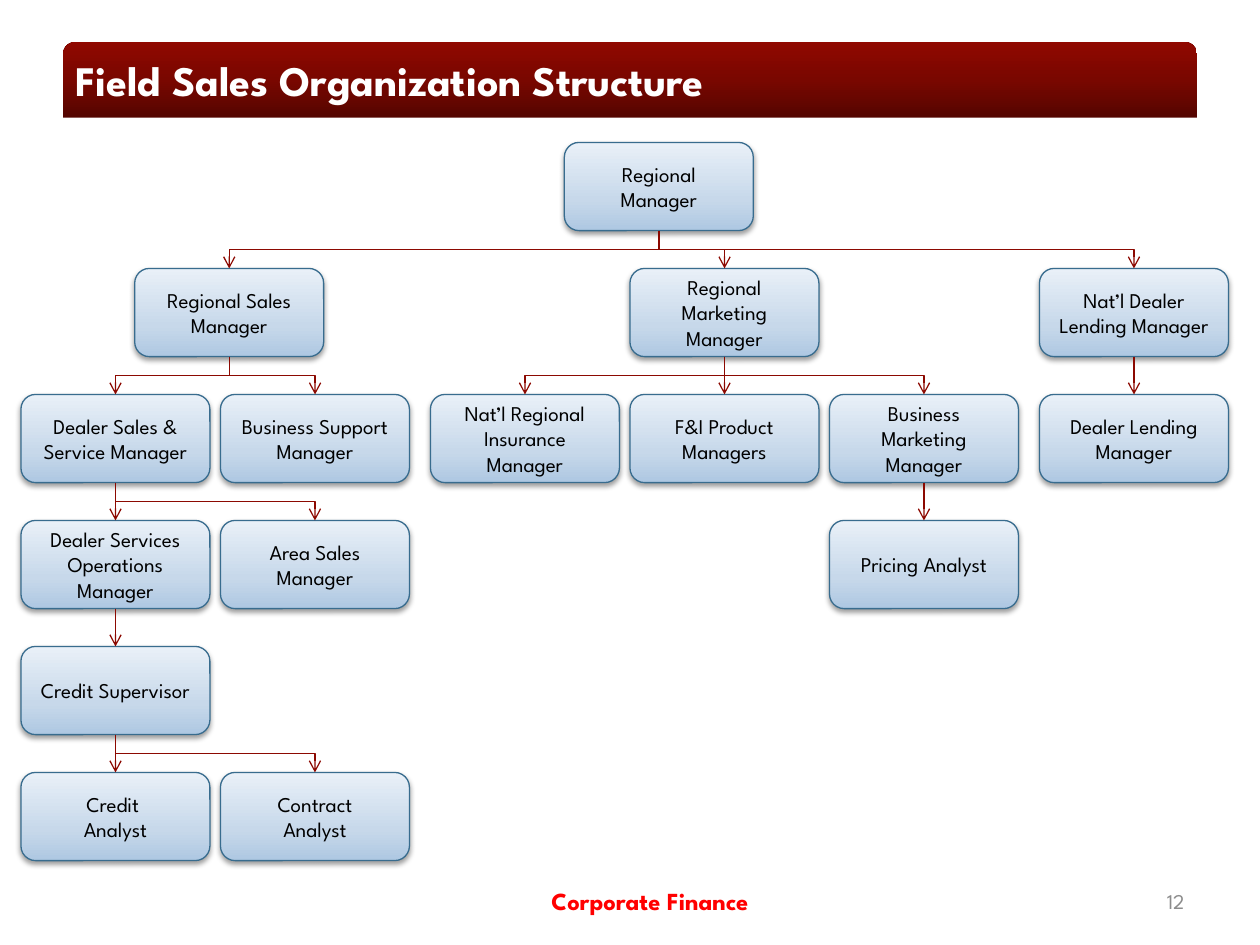
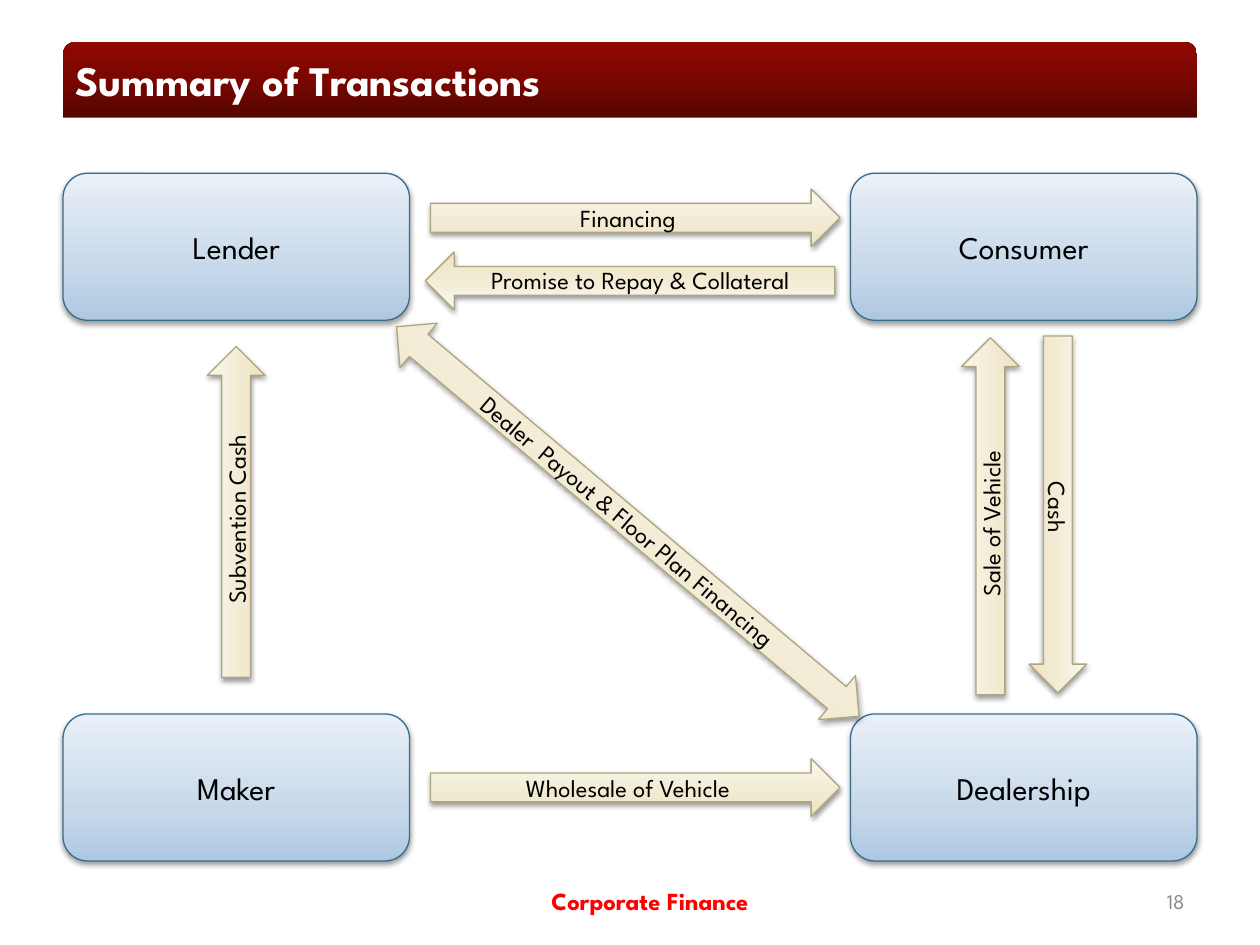
from pptx import Presentation
from pptx.dml.color import RGBColor
from pptx.enum.shapes import MSO_CONNECTOR, MSO_SHAPE
from pptx.enum.text import MSO_ANCHOR, PP_ALIGN
from pptx.oxml import parse_xml
from pptx.oxml.ns import nsdecls, qn
from pptx.util import Pt

ROUNDED = MSO_SHAPE.ROUNDED_RECTANGLE
BAND = MSO_SHAPE.ROUND_2_SAME_RECTANGLE
ARROW = MSO_SHAPE.RIGHT_ARROW
TWO_WAY = MSO_SHAPE.LEFT_RIGHT_ARROW
STRAIGHT, ELBOW = MSO_CONNECTOR.STRAIGHT, MSO_CONNECTOR.ELBOW
LEFT, CENTER, RIGHT = PP_ALIGN.LEFT, PP_ALIGN.CENTER, PP_ALIGN.RIGHT
MIDDLE, TOP = MSO_ANCHOR.MIDDLE, MSO_ANCHOR.TOP

FONT = "League Spartan"
BLACK, WHITE, RED, GRAY = "000000", "FFFFFF", "FF0000", "8C8C8C"
CONNECTOR_COLOR = "8C0901"
# Gradients run from the bottom edge up: (position in percent, colour)
BAND_GRADIENT = [(0, "550500"), (50, "790700"), (100, "900800")]
BLUE_GRADIENT = [(0, "AEC8E2"), (35, "C7D8EA"), (100, "E9F0F8")]
CREAM_GRADIENT = [(0, "EDE2BD"), (35, "F1EAD1"), (100, "FAF7EC")]
BLUE_LINE, CREAM_LINE = "386C8E", "AFA57E"

FOOTER = "Corporate Finance"
TITLE_AREA = (36, 24, 648, 43.2)
FOOTER_AREA = (191.5, 500.4, 360, 28.8)
NUMBER_AREA = (516, 500.4, 168, 28.8)

# Organization chart: (position, left, level, reports to)
COLUMNS = [12, 126, 246, 360, 474, 594]
POSITIONS = [
    ("Regional Manager", 322.5, 0, None),
    ("Regional Sales Manager", 77, 1, "Regional Manager"),
    ("Regional Marketing Manager", COLUMNS[3], 1, "Regional Manager"),
    ("Nat’l Dealer Lending Manager", COLUMNS[5], 1, "Regional Manager"),
    ("Dealer Sales & Service Manager", COLUMNS[0], 2, "Regional Sales Manager"),
    ("Business Support Manager", COLUMNS[1], 2, "Regional Sales Manager"),
    ("Nat’l Regional Insurance Manager", COLUMNS[2], 2, "Regional Marketing Manager"),
    ("F&I Product Managers", COLUMNS[3], 2, "Regional Marketing Manager"),
    ("Business Marketing\nManager", COLUMNS[4], 2, "Regional Marketing Manager"),
    ("Dealer Lending Manager", COLUMNS[5], 2, "Nat’l Dealer Lending Manager"),
    ("Dealer Services Operations Manager", COLUMNS[0], 3, "Dealer Sales & Service Manager"),
    ("Area Sales Manager", COLUMNS[1], 3, "Dealer Sales & Service Manager"),
    ("Pricing Analyst", COLUMNS[4], 3, "Business Marketing\nManager"),
    ("Credit Supervisor", COLUMNS[0], 4, "Dealer Services Operations Manager"),
    ("Credit \nAnalyst", COLUMNS[0], 5, "Credit Supervisor"),
    ("Contract\nAnalyst", COLUMNS[1], 5, "Credit Supervisor"),
]
CHART_TOP, LEVEL_STEP = 81.4, 72
POSITION_WIDTH, POSITION_HEIGHT = 108, 50.4

# Transactions: (party, left, top) and (flow, kind, left, top, length, rotation)
PARTIES = [
    ("Lender", 36, 99),
    ("Consumer", 486, 99),
    ("Maker", 36, 408),
    ("Dealership", 486, 408),
]
PARTY_WIDTH, PARTY_HEIGHT = 198, 84
FLOWS = [
    ("Financing", ARROW, 246, 108, 234, 0),
    ("Subvention Cash", ARROW, 40.5, 276, 189, 270),
    ("Cash", ARROW, 502.5, 277.5, 204, 90),
    ("Sale of Vehicle", ARROW, 464, 278.5, 204, 270),
    ("Wholesale of Vehicle", ARROW, 246, 433.5, 234, 0),
    ("", ARROW, 243, 144, 234, 180),
    ("Dealer  Payout & Floor Plan Financing", TWO_WAY, 186, 281.5, 345.5, 40.1),
]
FLOW_THICKNESS = 33
REPAYMENT = "Promise to Repay & Collateral"
REPAYMENT_AREA = (240, 148, 252, 26)


def rgb(color):
    return RGBColor.from_string(color)


def points(area):
    return [Pt(value) for value in area]


def write(shape, text, size, color=BLACK, align=CENTER, bold=False, anchor=MIDDLE):
    frame = shape.text_frame
    frame.word_wrap = True
    frame.vertical_anchor = anchor
    frame.text = text
    for paragraph in frame.paragraphs:
        paragraph.alignment = align
        for run in paragraph.runs:
            run.font.name = FONT
            run.font.size = Pt(size)
            run.font.bold = bold
            run.font.color.rgb = rgb(color)


def add_label(slide, area, text, size, **style):
    write(slide.shapes.add_textbox(*points(area)), text, size, **style)


def add_gradient_shape(slide, kind, area, gradient, line=None):
    """Add a shape with a bottom-up gradient; an outlined one also casts a shadow."""
    shape = slide.shapes.add_shape(kind, *points(area))
    shape.fill.gradient()
    shape.fill.gradient_angle = 90
    properties = shape._element.spPr
    stops = properties.find(qn("a:gradFill")).find(qn("a:gsLst"))
    for stop in list(stops):
        stops.remove(stop)
    for position, color in gradient:
        stops.append(parse_xml(
            f'<a:gs {nsdecls("a")} pos="{position * 1000}"><a:srgbClr val="{color}"/></a:gs>'))
    shape.shadow.inherit = False
    if line is None:
        shape.line.fill.background()
        return shape
    shape.line.color.rgb = rgb(line)
    shape.line.width = Pt(0.75)
    properties.find(qn("a:effectLst")).append(parse_xml(
        f'<a:outerShdw {nsdecls("a")} blurRad="{Pt(3.1)}" dist="{Pt(1.6)}" dir="5400000" '
        'rotWithShape="0"><a:srgbClr val="000000"><a:alpha val="38000"/></a:srgbClr></a:outerShdw>'))
    return shape


def add_reporting_line(slide, start, end):
    """Draw an arrow down from start to end, with a bend halfway if they are not aligned."""
    (x1, y1), (x2, y2) = start, end
    run, drop = x2 - x1, y2 - y1
    if run == 0:
        connector = slide.shapes.add_connector(STRAIGHT, *points((x1, y1, x2, y2)))
    else:
        # An elbow leaves sideways, so it is laid out on its side and turned
        left = (x1 + x2 - drop) / 2
        top = (y1 + y2 - abs(run)) / 2
        connector = slide.shapes.add_connector(
            ELBOW, *points((left, top, left + drop, top + abs(run))))
        frame = connector._element.spPr.find(qn("a:xfrm"))
        frame.set("rot", str((90 if run < 0 else 270) * 60000))
        if run > 0:
            frame.set("flipH", "1")
    connector.line.color.rgb = rgb(CONNECTOR_COLOR)
    connector.line.width = Pt(0.75)
    properties = connector._element.spPr
    properties.find(qn("a:ln")).append(
        parse_xml(f'<a:tailEnd {nsdecls("a")} type="arrow"/>'))
    properties.append(parse_xml(f'<a:effectLst {nsdecls("a")}/>'))


def add_slide(deck, title, number):
    slide = deck.slides.add_slide(deck.slide_layouts[6])
    add_gradient_shape(slide, BAND, TITLE_AREA, BAND_GRADIENT)
    add_label(slide, TITLE_AREA, title, 24, color=WHITE, align=LEFT, bold=True)
    add_label(slide, FOOTER_AREA, FOOTER, 14, color=RED, bold=True)
    add_label(slide, NUMBER_AREA, number, 12, color=GRAY, align=RIGHT)
    return slide


def add_box(slide, area, text, size):
    write(add_gradient_shape(slide, ROUNDED, area, BLUE_GRADIENT, BLUE_LINE), text, size)


def add_organization(deck):
    slide = add_slide(deck, "Field Sales Organization Structure", "12")
    corners = {}
    for position, left, level, _ in POSITIONS:
        top = CHART_TOP + level * LEVEL_STEP
        corners[position] = (left, top)
        add_box(slide, (left, top, POSITION_WIDTH, POSITION_HEIGHT), position, 12)
    half = POSITION_WIDTH / 2
    for position, left, _, manager in POSITIONS:
        if manager:
            manager_left, manager_top = corners[manager]
            add_reporting_line(slide,
                               (manager_left + half, manager_top + POSITION_HEIGHT),
                               (left + half, corners[position][1]))


def add_transactions(deck):
    slide = add_slide(deck, "Summary of Transactions", "18")
    for party, left, top in PARTIES:
        add_box(slide, (left, top, PARTY_WIDTH, PARTY_HEIGHT), party, 18)
    for flow, kind, left, top, length, rotation in FLOWS:
        arrow = add_gradient_shape(
            slide, kind, (left, top, length, FLOW_THICKNESS), CREAM_GRADIENT, CREAM_LINE)
        arrow.rotation = rotation
        if flow:
            write(arrow, flow, 14)
    add_label(slide, REPAYMENT_AREA, REPAYMENT, 14, anchor=TOP)


def main():
    deck = Presentation()
    deck.slide_width, deck.slide_height = Pt(720), Pt(540)
    add_organization(deck)
    add_transactions(deck)
    deck.save("out.pptx")


if __name__ == "__main__":
    main()
